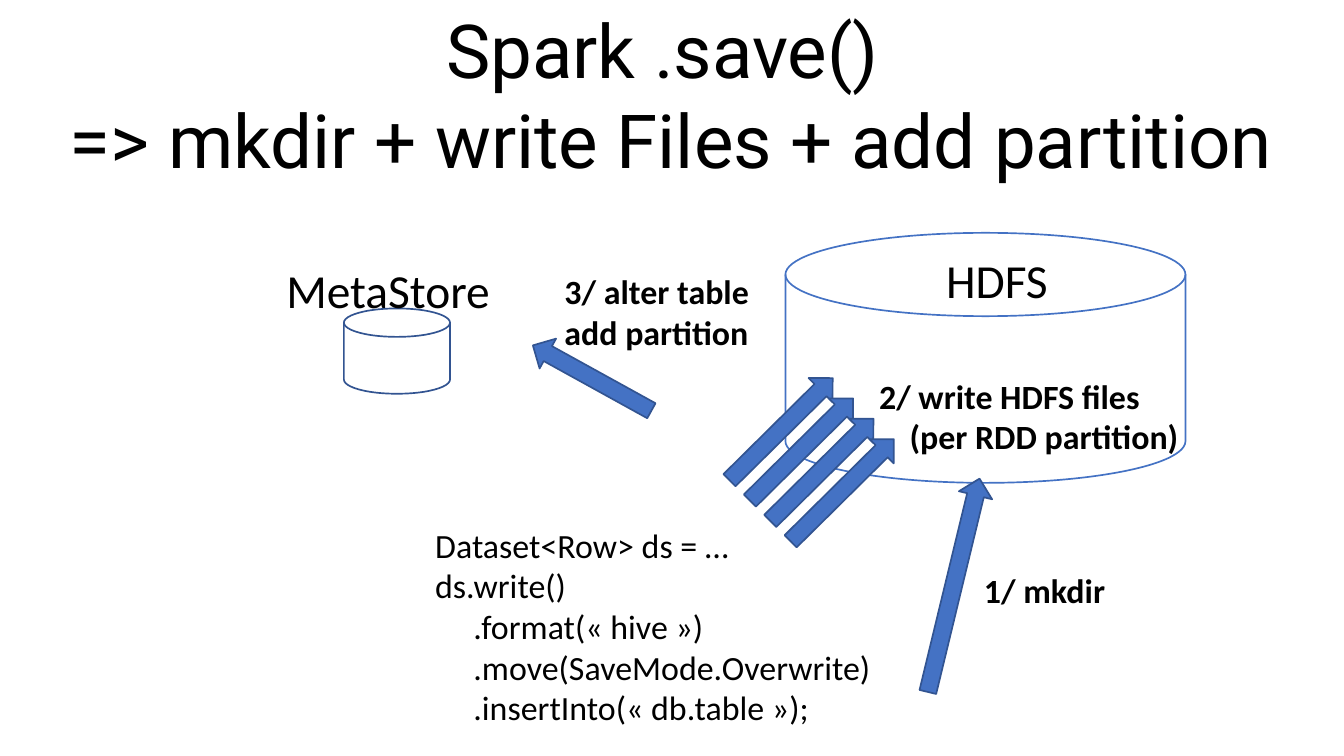
from pptx import Presentation
from pptx.dml.color import RGBColor
from pptx.enum.shapes import MSO_SHAPE
from pptx.enum.text import MSO_ANCHOR, PP_ALIGN
from pptx.util import Inches, Pt

BLUE, NAVY, WHITE, BLACK = "4472C4", "325491", "FFFFFF", "000000"


def paint(form, color):
    form.fore_color.rgb = RGBColor.from_string(color)


def add_form(slide, kind, box, fill, line, turn=0):
    form = slide.shapes.add_shape(kind, *map(Inches, box))
    form.shadow.inherit = False
    form.rotation = turn
    if fill:
        form.fill.solid()
        paint(form.fill, fill)
    else:
        form.fill.background()
    form.line.fill.solid()
    paint(form.line.fill, line)
    form.line.width = Pt(1)


def add_text(slide, box, lines, size=20, bold=False, font="Calibri"):
    frame = slide.shapes.add_textbox(*map(Inches, box)).text_frame
    frame.word_wrap = False
    frame.text = "\n".join(lines)
    for para in frame.paragraphs:
        para.font.name = font
        para.font.size = Pt(size)
        para.font.bold = bold
        para.font.color.rgb = RGBColor.from_string(BLACK)
    return frame


def add_title(slide, box):
    lines = ["Spark .save() ", "=> mkdir + write Files + add partition"]
    frame = add_text(slide, box, lines, 44, font="Roboto")
    frame.word_wrap = True
    frame.vertical_anchor = MSO_ANCHOR.MIDDLE
    frame.margin_left = frame.margin_right = 0
    frame.margin_top = frame.margin_bottom = 0
    for para in frame.paragraphs:
        para.alignment = PP_ALIGN.CENTER


def add_store(slide, box, name, spot, fill, line):
    """Draw a disk with its name; spot is the label box from the disk's corner."""
    x, y = box[:2]
    dx, dy, w, h = spot
    add_form(slide, MSO_SHAPE.FLOWCHART_MAGNETIC_DISK, box, fill, line)
    add_text(slide, (x + dx, y + dy, w, h), [name], 28)


def add_arrow(slide, box, turn):
    add_form(slide, MSO_SHAPE.RIGHT_ARROW, box, BLUE, NAVY, turn)


def add_code(slide, box):
    add_text(slide, box, [
        "Dataset<Row> ds = …",
        "ds.write()",
        "     .format(« hive »)",
        "     .move(SaveMode.Overwrite)",
        "     .insertInto(« db.table »);",
    ])


def add_steps(slide, box):
    """Draw the three numbered steps with their arrows."""
    x, y = box[:2]
    add_arrow(slide, (x + 2.62, y + 2.49, 1.8, 0.28), 283.6)
    add_text(slide, (x + 3.67, y + 2.45, 1.2, 0.44), ["1/ mkdir"], bold=True)

    gap = 0.167
    for i in range(4):
        add_arrow(slide, (x + 1.51 + i * gap, y + 1.21 + i * gap, 1.19, 0.28), 315.3)
    write = add_text(slide, (x + 2.81, y + 0.86, 2.68, 0.77),
                     ["2/ write HDFS files", "(per RDD partition)"], bold=True)
    # Indent of the second line
    write.paragraphs[1]._p.get_or_add_pPr().set("marL", str(Inches(0.25)))

    add_arrow(slide, (x, y + 0.79, 1.11, 0.28), 208.9)
    add_text(slide, (x + 0.23, y, 1.79, 0.77),
             ["3/ alter table", "add partition"], bold=True)


def main():
    deck = Presentation()
    deck.slide_width, deck.slide_height = Inches(11.02), Inches(6.2)
    slide = deck.slides.add_slide(deck.slide_layouts[6])
    add_store(slide, (6.44, 1.91, 3.28, 2.05), "HDFS",
              (1.22, 0.1, 1.04, 0.57), WHITE, BLUE)
    add_store(slide, (2.82, 2.53, 0.87, 0.7), "MetaStore",
              (-0.57, -0.44, 1.89, 0.57), None, NAVY)
    add_title(slide, (0.55, 0.25, 9.92, 1.04))
    add_code(slide, (3.47, 4.25, 3.8, 1.78))
    add_steps(slide, (4.3, 2.17, 5.49, 3.5))
    deck.save("out.pptx")


if __name__ == "__main__":
    main()
